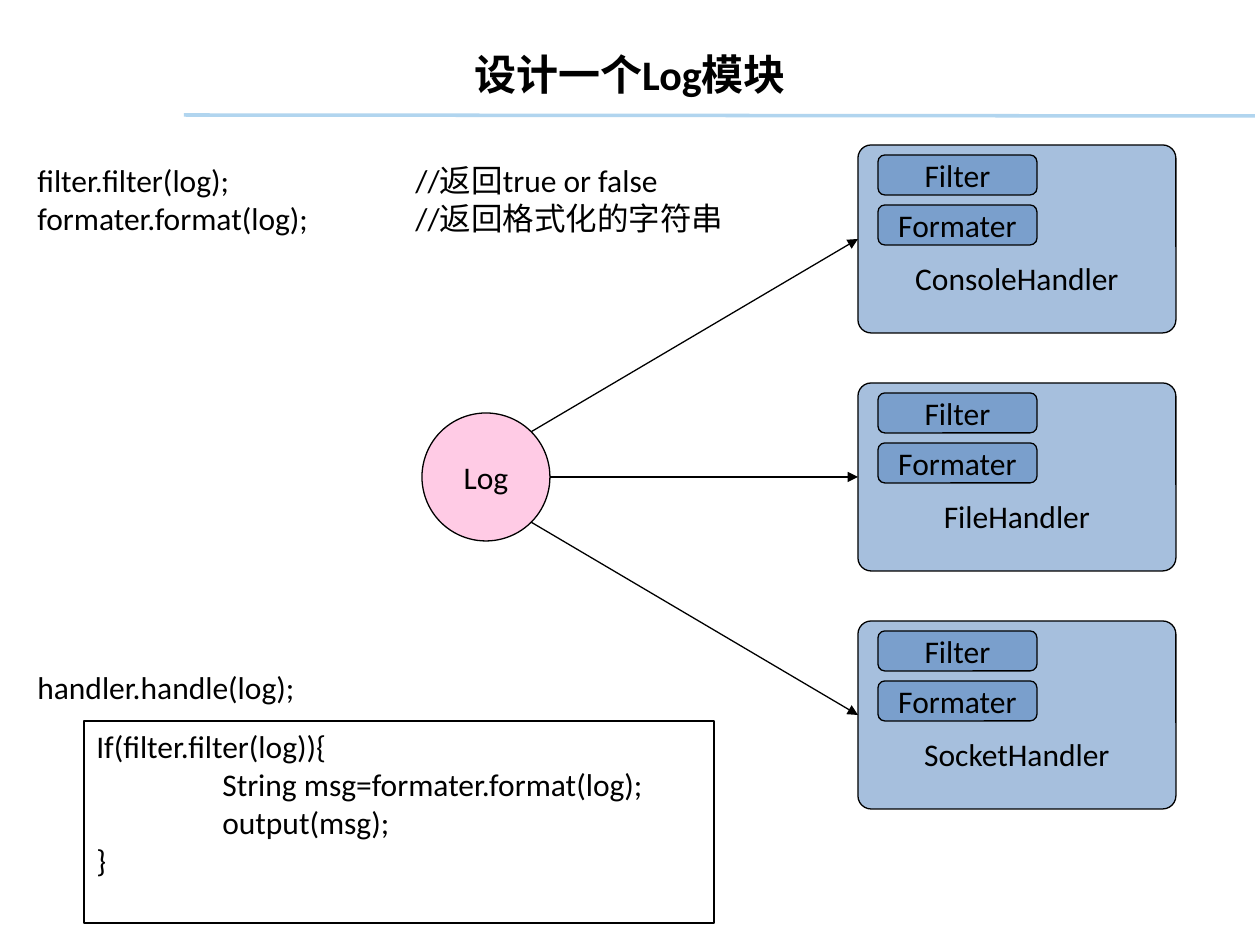
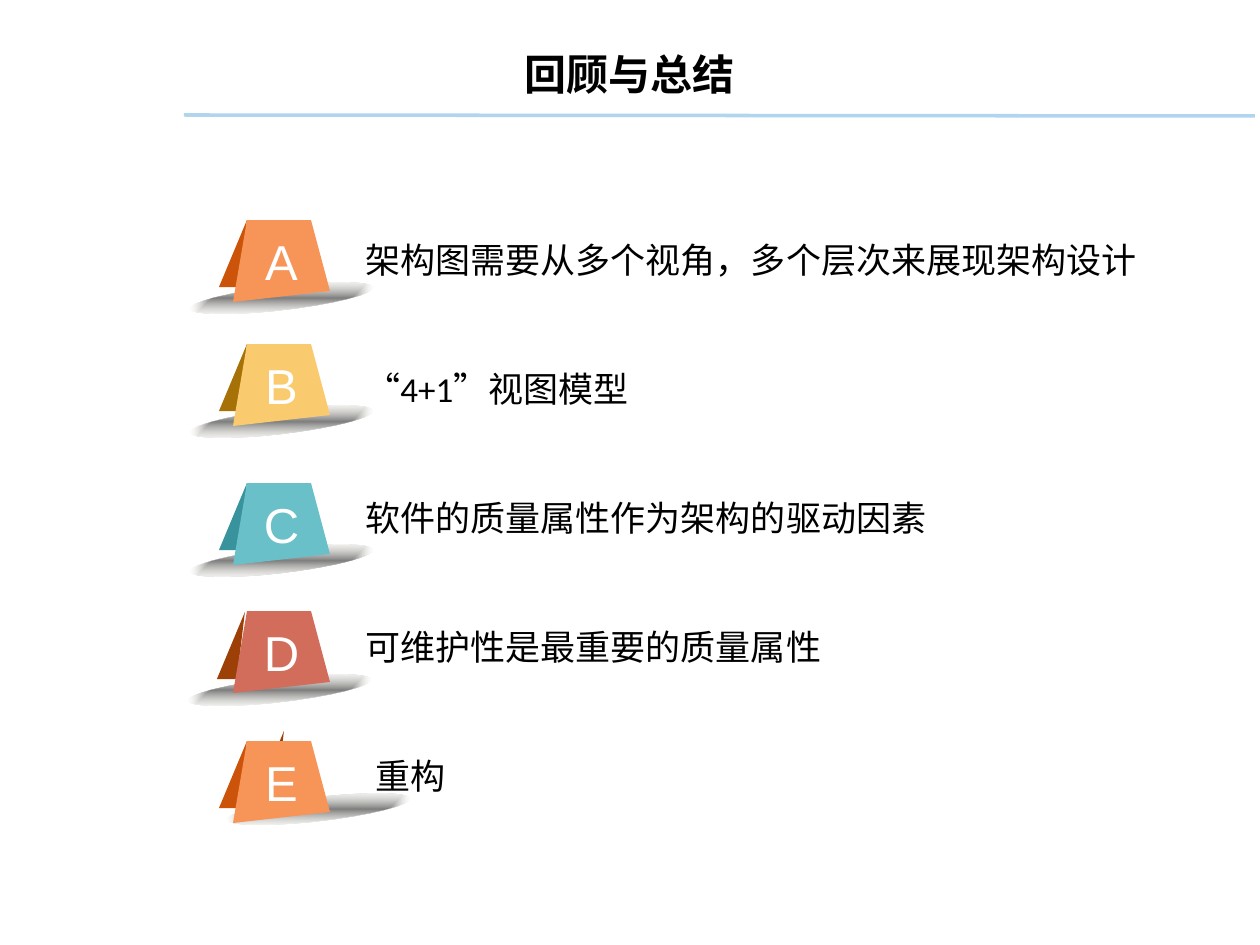
"""Build two slides: a log module design and a closing review."""
import dataclasses
import math

import lxml.etree
import pptx
import pptx.dml.color
import pptx.enum.lang
import pptx.enum.shapes
import pptx.enum.text
import pptx.oxml
import pptx.oxml.ns
import pptx.util

SHAPES = pptx.enum.shapes.MSO_SHAPE
ANCHOR = pptx.enum.text.MSO_ANCHOR
ALIGN = pptx.enum.text.PP_ALIGN
qn = pptx.oxml.ns.qn

LOG_TITLE = "设计一个Log模块"
LOG_SOURCE = "Log"
HANDLERS = ["ConsoleHandler", "FileHandler", "SocketHandler"]
HANDLER_PARTS = ["Filter", "Formater"]
HANDLER_CALLS = [
    "filter.filter(log);\t\t//返回true or false",
    "formater.format(log);\t//返回格式化的字符串",
]
HANDLE_CALL = ["handler.handle(log);"]
HANDLE_BODY = [
    "If(filter.filter(log)){",
    "\tString msg=formater.format(log);",
    "\toutput(msg);",
    "}",
]

REVIEW_TITLE = "回顾与总结"
REVIEW_POINTS = [
    dict(letter="A", point="架构图需要从多个视角，多个层次来展现架构设计",
         top=220, indent=0, card="F79457", flaps=[(0, 0, "CC540A")]),
    dict(letter="B", point="“4+1”视图模型",
         top=344, indent=0, card="FACB6E", flaps=[(0, 0, "A67106")]),
    dict(letter="C", point="软件的质量属性作为架构的驱动因素",
         top=483, indent=0, card="69C0C9", flaps=[(0, 0, "39939D")]),
    dict(letter="D", point="可维护性是最重要的质量属性",
         top=611, indent=0, card="D26D5C", flaps=[(-2, 1, "9C4008")]),
    dict(letter="E", point="重构", top=741, indent=10, card="F79457",
         flaps=[(37, -10, "9C4008"), (0, 0, "CC540A")]),
]

FLAP = [(247, 0), (219, 67), (239, 67)]
CARD = [(311, 0), (247, 0), (233, 82), (330, 71)]

EMU_PER_PX = 914400 / 126


@dataclasses.dataclass(frozen=True)
class Theme:
    """Colours, fonts and sizes used on both slides."""
    ink: str = "000000"
    paper: str = "FFFFFF"
    rule: str = "B1D5EF"
    handler: str = "4F81BD"
    source: str = "FF99CC"
    shade: str = "7F7F7F"
    shade_edge: str = "EEECE1"
    body_font: str = "Calibri"
    letter_font: str = "Arial"
    title_size: int = 24
    label_size: int = 18
    point_size: int = 20
    letter_size: int = 28
    rule_width: float = 2
    outline_width: float = 0.75


THEME = Theme()


def px(length):
    """Turn px into EMU."""
    return pptx.util.Emu(round(length * EMU_PER_PX))


def box(*lengths):
    """Turn left, top, width and height into EMU."""
    return [px(length) for length in lengths]


def rgb(colour):
    """Turn a hex string into a colour."""
    return pptx.dml.color.RGBColor.from_string(colour)


def apply(target, formats):
    """Set every attribute named in formats."""
    for attribute, setting in formats.items():
        setattr(target, attribute, setting)


def write(shape, lines, size, frame=None, paragraph=None, font=None,
          colour=THEME.ink):
    """Fill a shape with one paragraph per line."""
    apply(shape.text_frame, dict(word_wrap=True, vertical_anchor=ANCHOR.TOP) | (frame or {}))
    shape.text_frame.text = "\n".join(lines)
    for line in shape.text_frame.paragraphs:
        apply(line, dict(alignment=ALIGN.LEFT) | (paragraph or {}))
        if "\t" in line.text:
            stops = lxml.etree.SubElement(line._p.get_or_add_pPr(), qn("a:tabLst"))
            for inch in range(1, 8):
                lxml.etree.SubElement(stops, qn("a:tab"), pos=str(914400 * inch), algn="l")
        for run in line.runs:
            apply(run.font, dict(
                name=THEME.body_font, size=pptx.util.Pt(size),
                language_id=pptx.enum.lang.MSO_LANGUAGE_ID.SIMPLIFIED_CHINESE,
            ) | (font or {}))
            run.font.color.rgb = rgb(colour)


def paint(shape, fill=None, opacity=100, outlined=True):
    """Give a shape its fill and outline, without a shadow."""
    shape.shadow.inherit = False
    if fill:
        shape.fill.solid()
        shape.fill.fore_color.rgb = rgb(fill)
        if opacity < 100:
            colour = shape.element.spPr.find(qn("a:solidFill"))[0]
            lxml.etree.SubElement(colour, qn("a:alpha"), val=str(opacity * 1000))
    else:
        shape.fill.background()
    if outlined:
        shape.line.color.rgb = rgb(THEME.ink)
        shape.line.width = pptx.util.Pt(THEME.outline_width)
    else:
        shape.line.fill.background()


def add_line(slide, start, end, colour, width, arrow=False):
    """Draw a straight line, with an arrowhead at its end if asked."""
    line = slide.shapes.add_connector(
        pptx.enum.shapes.MSO_CONNECTOR.STRAIGHT, *box(*start, *end))
    apply(line.line, dict(width=pptx.util.Pt(width)))
    line.line.color.rgb = rgb(colour)
    if arrow:
        lxml.etree.SubElement(line.line._get_or_add_ln(), qn("a:tailEnd"), type="triangle")
    lxml.etree.SubElement(line._element.spPr, qn("a:effectLst"))


def add_text(slide, place, lines, size, **formats):
    """Add a text box."""
    write(slide.shapes.add_textbox(*box(*place)), lines, size, **formats)


def add_label(slide, kind, place, label, fill, corner=None, top_inset=6):
    """Add a translucent shape with a centred label."""
    shape = slide.shapes.add_shape(kind, *box(*place))
    if corner:
        shape.adjustments[0] = corner
    paint(shape, fill, opacity=50)
    write(shape, [label], THEME.label_size,
          frame=dict(word_wrap=False, vertical_anchor=ANCHOR.MIDDLE,
                     margin_top=px(top_inset)),
          paragraph=dict(alignment=ALIGN.CENTER))


def add_outline(slide, points, dx, dy, fill):
    """Draw a closed polygon moved by dx and dy."""
    moved = [(x + dx, y + dy) for x, y in points]
    builder = slide.shapes.build_freeform(*moved[0], scale=EMU_PER_PX)
    builder.add_line_segments(moved[1:], close=True)
    shape = builder.convert_to_shape()
    paint(shape, fill, outlined=False)
    return shape


def add_ground_shade(slide, dx, top):
    """Draw the soft tilted ellipse under a card."""
    shade = slide.shapes.add_shape(SHAPES.OVAL, *box(190 + dx, top + 66, 183, 24))
    paint(shade, outlined=False)
    shade.rotation = 173.4
    properties = shade.element.spPr
    properties.find(qn("a:xfrm")).set("flipV", "1")
    gradient = pptx.oxml.parse_xml(
        f'<a:gradFill {pptx.oxml.ns.nsdecls("a")} rotWithShape="1"><a:gsLst>'
        f'<a:gs pos="0"><a:srgbClr val="{THEME.shade}"/></a:gs>'
        f'<a:gs pos="100000"><a:srgbClr val="{THEME.shade_edge}">'
        '<a:alpha val="0"/></a:srgbClr></a:gs></a:gsLst>'
        '<a:path path="rect"><a:fillToRect l="50000" t="50000" r="50000" b="50000"/>'
        '</a:path></a:gradFill>')
    properties.replace(properties.find(qn("a:noFill")), gradient)


def add_titled_slide(deck, title):
    """Add a blank slide with the shared rule and title."""
    slide = deck.slides.add_slide(deck.slide_layouts[6])
    add_line(slide, (184, 115), (1255, 116), THEME.rule, THEME.rule_width)
    add_text(slide, (63, 32, 1134, 83), [title], THEME.title_size,
             frame=dict(vertical_anchor=ANCHOR.MIDDLE),
             paragraph=dict(alignment=ALIGN.CENTER), font=dict(bold=True))
    return slide


def build_log_slide(deck):
    """Show the log source, its handlers and the calls between them."""
    slide = add_titled_slide(deck, LOG_TITLE)
    centre_x, centre_y, radius = 486, 477, 64
    add_label(slide, SHAPES.OVAL,
              (centre_x - radius, centre_y - radius, 2 * radius, 2 * radius),
              LOG_SOURCE, THEME.source)
    left, height = 858, 188
    for row, handler in enumerate(HANDLERS):
        top = 145 + 238 * row
        add_label(slide, SHAPES.ROUNDED_RECTANGLE, (left, top, 318, height),
                  handler, THEME.handler, corner=0.07, top_inset=84)
        for order, part in enumerate(HANDLER_PARTS):
            add_label(slide, SHAPES.ROUNDED_RECTANGLE,
                      (left + 20, top + 10 + 50 * order, 159, 40),
                      part, THEME.handler, corner=0.17)
        angle = math.radians(45 * (row - 1))
        start = (centre_x + radius * math.cos(angle), centre_y + radius * math.sin(angle))
        add_line(slide, start, (left, top + height / 2), THEME.ink,
                 THEME.outline_width, arrow=True)
    add_text(slide, (25, 155, 740, 88), HANDLER_CALLS, THEME.label_size)
    add_text(slide, (25, 662, 630, 50), HANDLE_CALL, THEME.label_size)
    body = slide.shapes.add_shape(SHAPES.RECTANGLE, *box(84, 721, 630, 202))
    paint(body)
    write(body, HANDLE_BODY, THEME.label_size)


def build_review_slide(deck):
    """List the review points beside lettered cards."""
    slide = add_titled_slide(deck, REVIEW_TITLE)
    for row, entry in enumerate(REVIEW_POINTS):
        top = entry["top"]
        shade_dx, shade_dy, _ = entry["flaps"][0]
        add_ground_shade(slide, shade_dx, top + shade_dy)
        for dx, dy, colour in entry["flaps"]:
            add_outline(slide, FLAP, dx, top + dy, colour)
        card = add_outline(slide, CARD, 0, top, entry["card"])
        write(card, [entry["letter"]], THEME.letter_size,
              frame=dict(vertical_anchor=ANCHOR.MIDDLE),
              paragraph=dict(alignment=ALIGN.CENTER),
              font=dict(name=THEME.letter_font), colour=THEME.paper)
        add_text(slide, (353 + entry["indent"], 224 + 129 * row, 880, 63),
                 [entry["point"]], THEME.point_size,
                 paragraph=dict(line_spacing=1.2))


def main():
    """Build and save the deck."""
    deck = pptx.Presentation()
    apply(deck, dict(slide_width=px(1260), slide_height=px(945)))
    build_log_slide(deck)
    build_review_slide(deck)
    deck.save("out.pptx")


if __name__ == "__main__":
    main()
